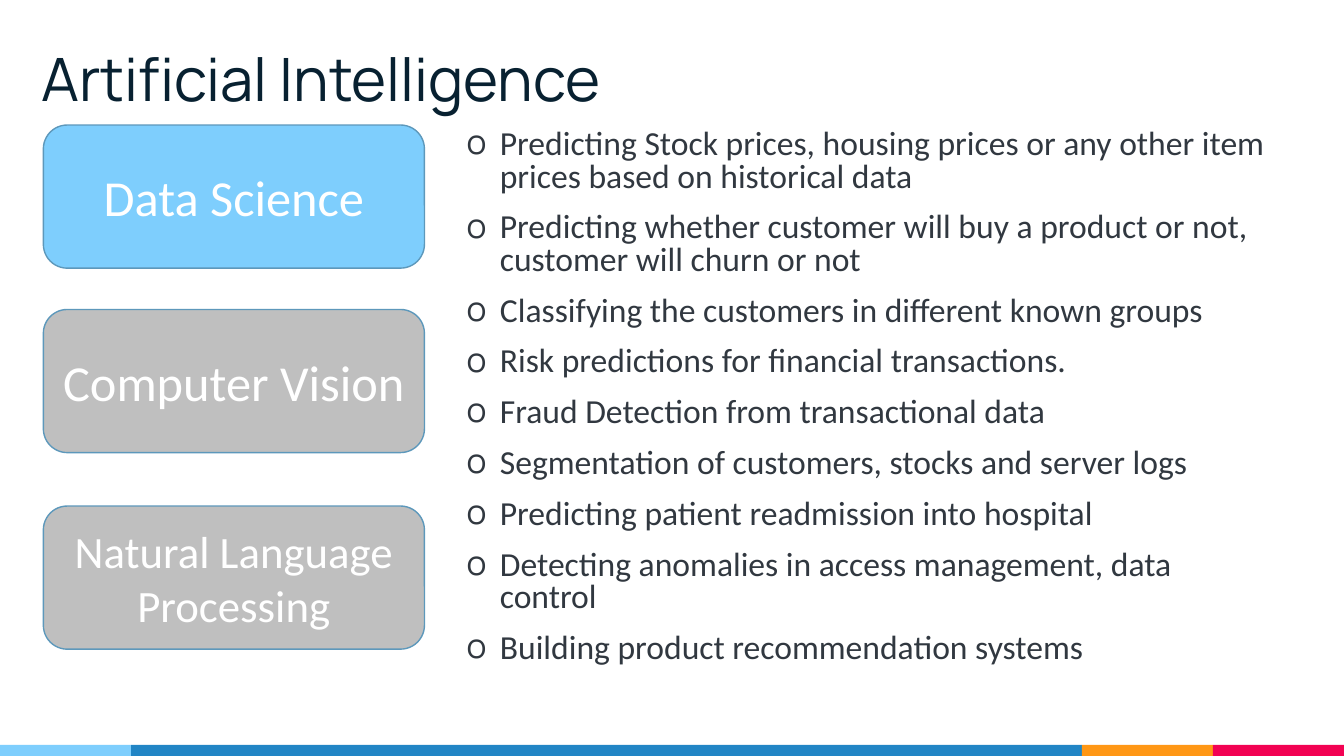
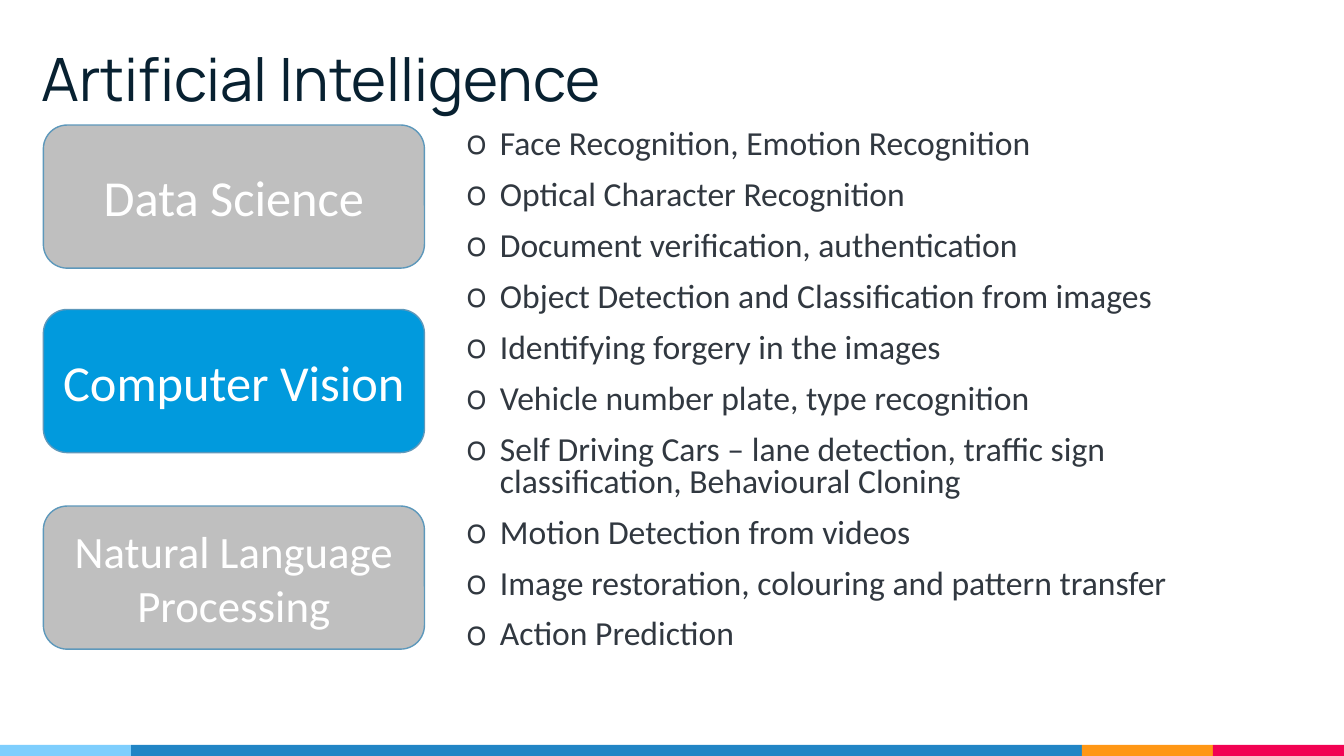
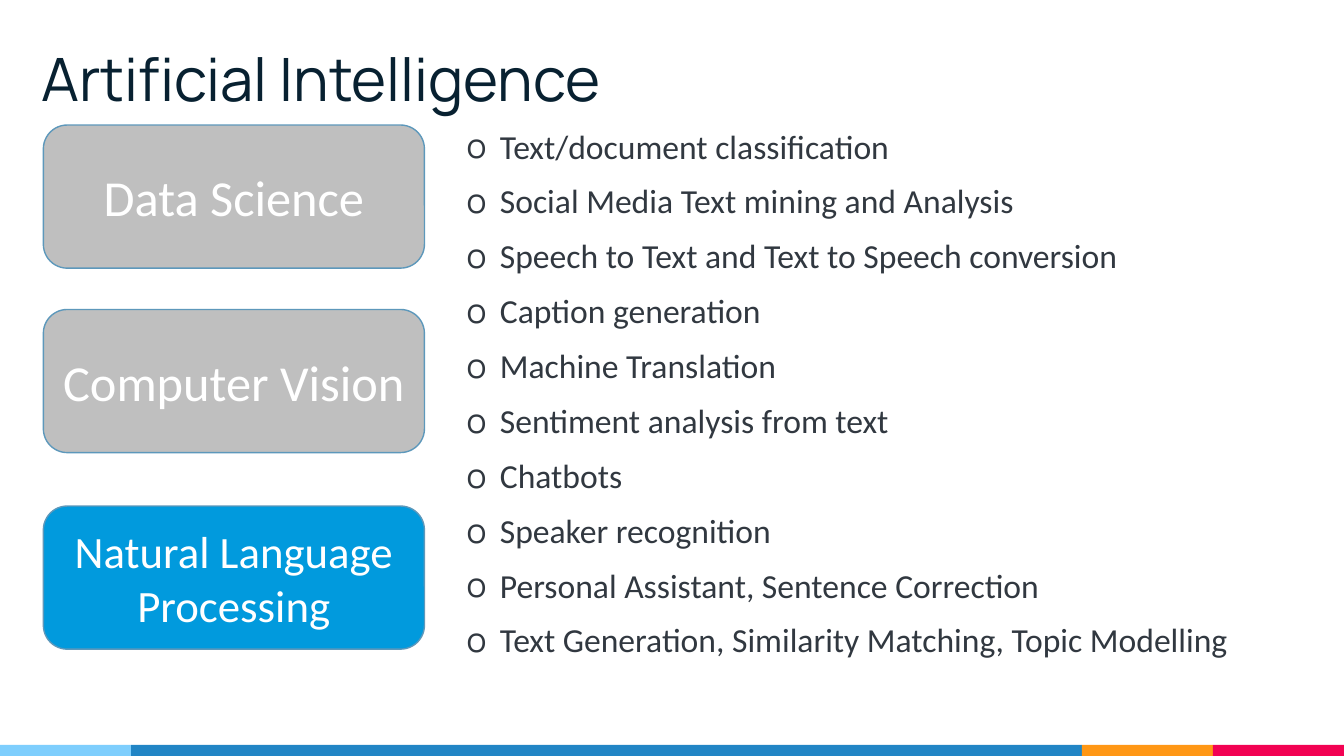
from lxml import etree
from pptx import Presentation
from pptx.dml.color import RGBColor
from pptx.enum.shapes import MSO_SHAPE
from pptx.enum.text import MSO_ANCHOR, PP_ALIGN
from pptx.oxml.ns import qn
from pptx.util import Inches, Pt

RECT = MSO_SHAPE.RECTANGLE
ROUND = MSO_SHAPE.ROUNDED_RECTANGLE
MIDDLE = MSO_ANCHOR.MIDDLE
CENTER = PP_ALIGN.CENTER

WIDE, HIGH = 13.33, 7.5
HEAD, BODY = "Manrope", "Calibri"
NAVY, INK, WHITE = "082131", "313840", "FFFFFF"
SKY, BLUE, GREY, EDGE = "7ECEFD", "019ADD", "BFBFBF", "5D98BB"

BAND = [(1.3, SKY), (9.43, "2185C5"), (1.3, "FF9715"), (1.3, "F20253")]
BAND_TOP = 7.39
CARDS = [
    ("Data Science", 1.24, 36),
    ("Computer Vision", 3.07, 36),
    ("Natural Language Processing", 5.02, 32),
]

# Each topic: colour of its card, line spacing, bullet items
TOPICS = [
    (SKY, 0.8, [
        "Predicting Stock prices, housing prices or any other item prices "
        "based on historical data",
        "Predicting whether customer will buy a product or not, customer "
        "will churn or not",
        "Classifying the customers in different known groups",
        "Risk predictions for financial transactions.",
        "Fraud Detection from transactional data",
        "Segmentation of customers, stocks and server logs",
        "Predicting patient readmission into hospital",
        "Detecting anomalies in access management, data control",
        "Building product recommendation systems",
    ]),
    (BLUE, 0.8, [
        "Face Recognition, Emotion Recognition",
        "Optical Character Recognition",
        "Document verification, authentication",
        "Object Detection and Classification from images",
        "Identifying forgery in the images",
        "Vehicle number plate, type recognition",
        "Self Driving Cars – lane detection, traffic sign classification, "
        "Behavioural Cloning",
        "Motion Detection from videos",
        "Image restoration, colouring and pattern transfer",
        "Action Prediction",
    ]),
    (BLUE, 0.9, [
        "Text/document classification",
        "Social Media Text mining and Analysis",
        "Speech to Text and Text to Speech conversion",
        "Caption generation",
        "Machine Translation",
        "Sentiment analysis from text",
        "Chatbots",
        "Speaker recognition",
        "Personal Assistant, Sentence Correction",
        "Text Generation, Similarity Matching, Topic Modelling",
    ]),
]


def color(code):
    return RGBColor.from_string(code)


def add_run(para, text, size, face, code):
    run = para.add_run()
    run.text = text
    run.font.size = Pt(size)
    run.font.name = face
    run.font.color.rgb = color(code)


def add_block(slide, kind, box, fill, line=None):
    """Add a filled preset shape; box is left, top, width, height."""
    block = slide.shapes.add_shape(kind, *map(Inches, box))
    block.shadow.inherit = False
    block.fill.solid()
    block.fill.fore_color.rgb = color(fill)
    if line:
        block.line.color.rgb = color(line)
        block.line.width = Pt(1)
    else:
        block.line.fill.background()
    return block


def add_frame(slide, box):
    """Add a wrapping text box and return its text frame."""
    frame = slide.shapes.add_textbox(*map(Inches, box)).text_frame
    frame.word_wrap = True
    return frame


def add_band(slide):
    left = 0
    for width, fill in BAND:
        add_block(slide, RECT, (left, BAND_TOP, width, HIGH - BAND_TOP), fill)
        left += width


def add_title(slide, text):
    frame = add_frame(slide, (0.31, 0.29, 10.42, 0.96))
    frame.vertical_anchor = MIDDLE
    add_run(frame.paragraphs[0], text, 42.7, HEAD, NAVY)


def set_bullet(para):
    props = para._p.get_or_add_pPr()
    props.set("marL", str(Inches(0.33)))
    props.set("indent", str(Inches(-0.33)))
    etree.SubElement(props, qn("a:buFont")).set("typeface", HEAD)
    etree.SubElement(props, qn("a:buChar")).set("char", "o")


def add_list(slide, items, pitch):
    frame = add_frame(slide, (4.53, 1.24, 8.14, 5.45))
    for i, item in enumerate(items):
        para = frame.add_paragraph() if i else frame.paragraphs[0]
        set_bullet(para)
        para.line_spacing = pitch
        if i:
            para.space_before = Pt(13.3)
        add_run(para, item, 24, BODY, INK)


def add_cards(slide, active, fill):
    """Stack the topic cards, with the active one in its own colour."""
    for i, (text, top, size) in enumerate(CARDS):
        card = add_block(slide, ROUND, (0.43, top, 3.78, 1.42),
                         fill if i == active else GREY, EDGE)
        frame = card.text_frame
        frame.word_wrap = True
        frame.vertical_anchor = MIDDLE
        para = frame.paragraphs[0]
        para.alignment = CENTER
        add_run(para, text, size, BODY, WHITE)


def main():
    deck = Presentation()
    deck.slide_width, deck.slide_height = Inches(WIDE), Inches(HIGH)
    for i, (fill, pitch, items) in enumerate(TOPICS):
        slide = deck.slides.add_slide(deck.slide_layouts[6])
        add_band(slide)
        add_title(slide, "Artificial Intelligence")
        add_list(slide, items, pitch)
        add_cards(slide, i, fill)
    deck.save("out.pptx")


if __name__ == "__main__":
    main()
